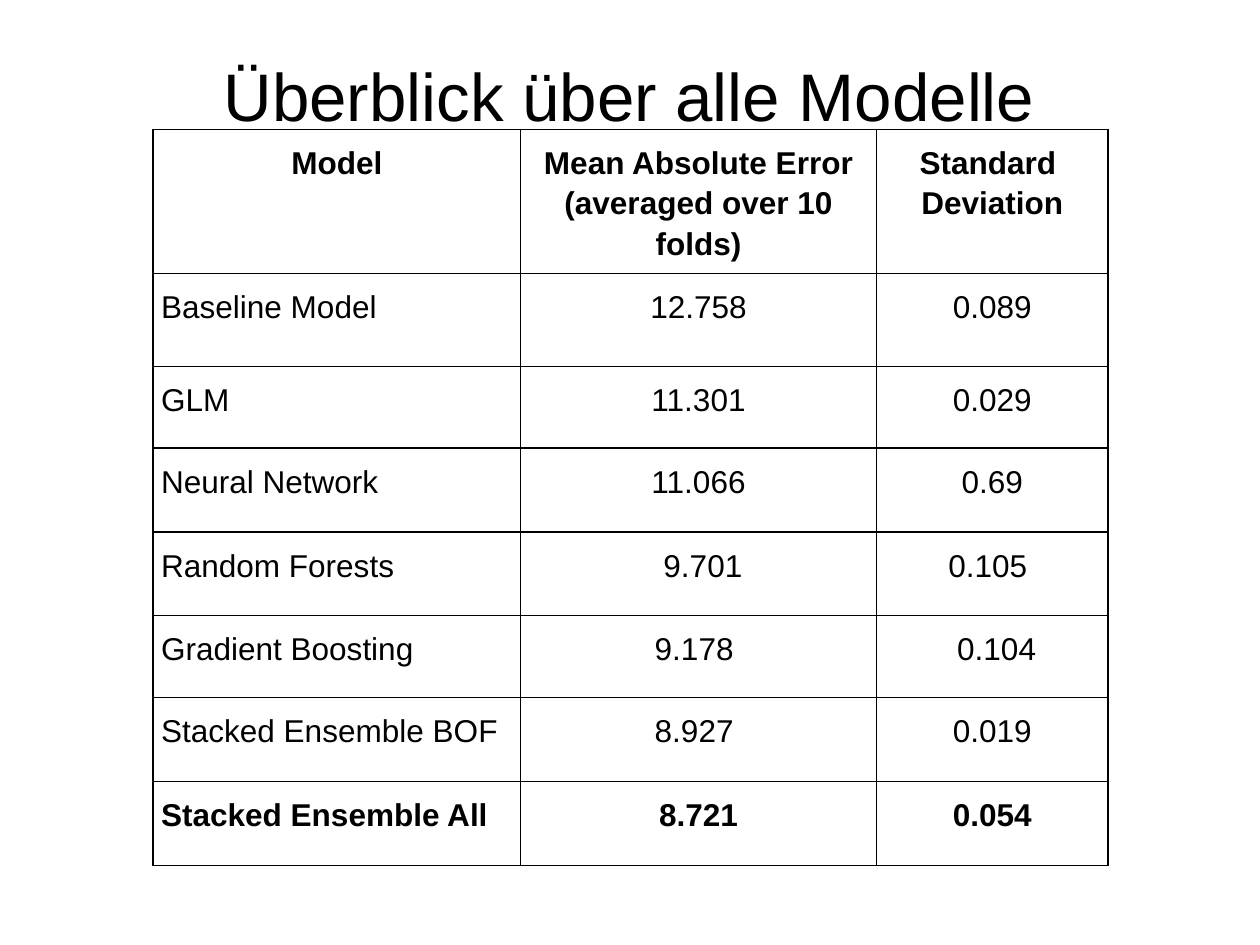
from pptx import Presentation
from pptx.dml.color import RGBColor
from pptx.enum.text import MSO_ANCHOR, PP_ALIGN
from pptx.oxml import parse_xml
from pptx.oxml.ns import nsdecls
from pptx.util import Inches, Pt

# Content
TITLE = "Überblick über alle Modelle"
ROWS = [
    ("Model", "Mean Absolute Error\v(averaged over 10 folds)", "Standard \vDeviation"),
    ("Baseline Model", "12.758", "0.089"),
    ("GLM", "11.301", "0.029"),
    ("Neural Network", "11.066", "0.69"),
    ("Random Forests", " 9.701", "0.105 "),
    ("Gradient Boosting", "9.178 ", " 0.104"),
    ("Stacked Ensemble BOF", "8.927 ", "0.019"),
    ("Stacked Ensemble All", "8.721", "0.054"),
]
COL_WIDTHS = [3.24, 3.14, 2.04]
ROW_HEIGHTS = [1.02, 0.82, 0.72, 0.74, 0.74, 0.72, 0.74, 0.74]
BOLD_ROWS = (0, len(ROWS) - 1)
COLORS = {"text": "000000", "border": "000000"}
FONT = "Arial"


def style_runs(p, size, bold=False):
    for r in p.runs:
        r.font.name = FONT
        r.font.size = Pt(size)
        r.font.bold = bold
        r.font.color.rgb = RGBColor.from_string(COLORS["text"])


def add_borders(cell):
    tcPr = cell._tc.get_or_add_tcPr()
    for i, side in enumerate(("lnL", "lnR", "lnT", "lnB")):
        tcPr.insert(i, parse_xml(
            f'<a:{side} {nsdecls("a")} w="{Pt(1)}"><a:solidFill>'
            f'<a:srgbClr val="{COLORS["border"]}"/></a:solidFill></a:{side}>'))


prs = Presentation()
prs.slide_width, prs.slide_height = Inches(11.11), Inches(8.33)
s = prs.slides.add_slide(prs.slide_layouts[6])

# Model table
table = s.shapes.add_table(
    len(ROWS), len(COL_WIDTHS), Inches(1.35), Inches(1.14),
    Inches(sum(COL_WIDTHS)), Inches(sum(ROW_HEIGHTS))).table
table.first_row = table.horz_banding = False
for column, width in zip(table.columns, COL_WIDTHS):
    column.width = Inches(width)
for i, (row, height) in enumerate(zip(ROWS, ROW_HEIGHTS)):
    table.rows[i].height = Inches(height)
    for j, text in enumerate(row):
        cell = table.cell(i, j)
        cell.fill.background()
        add_borders(cell)
        cell.margin_left = cell.margin_right = Inches(0.07)
        cell.margin_top = cell.margin_bottom = Inches(0.1)
        p = cell.text_frame.paragraphs[0]
        p.text = text
        p.alignment = PP_ALIGN.LEFT if i and j == 0 else PP_ALIGN.CENTER
        p.line_spacing = 1.15
        p.space_before = Pt(12)
        style_runs(p, 20, i in BOLD_ROWS)

# Title
tf = s.shapes.add_textbox(
    Inches(0.33), Inches(0.33), Inches(10.44), Inches(1)).text_frame
tf.word_wrap = True
tf.vertical_anchor = MSO_ANCHOR.MIDDLE
tf.margin_left = tf.margin_right = tf.margin_top = tf.margin_bottom = Inches(0.1)
tf.text = TITLE
tf.paragraphs[0].alignment = PP_ALIGN.CENTER
style_runs(tf.paragraphs[0], 42.7)

prs.save("out.pptx")
